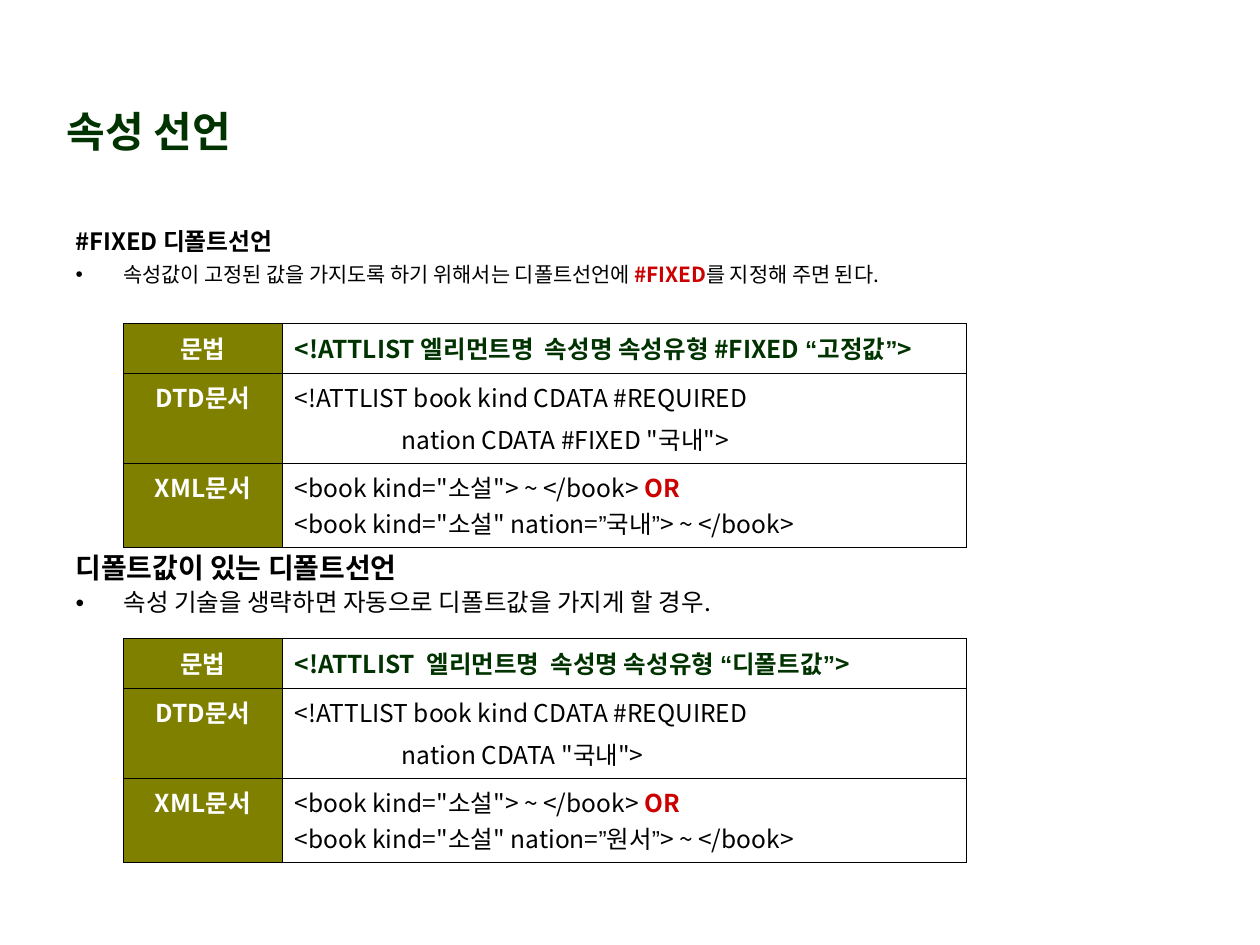
from dataclasses import dataclass
from itertools import groupby

from lxml.etree import SubElement
from pptx import Presentation
from pptx.dml.color import RGBColor
from pptx.enum.text import MSO_ANCHOR, MSO_AUTO_SIZE, PP_ALIGN
from pptx.oxml.ns import qn
from pptx.util import Inches, Pt


@dataclass(frozen=True)
class Theme:
    font: str = "Noto Sans CJK KR"
    quote_font: str = "Arial"
    text: str = "000000"
    heading: str = "003300"
    accent: str = "CC0000"
    label: str = "FFFFFF"
    label_fill: str = "808000"
    title_size: float = 24
    table_size: float = 14
    border: float = 0.45
    gap: float = 3.5
    heading_gap: float = 4


THEME = Theme()


def add_text(p, text, size, color=THEME.text, bold=False):
    """Add text to a paragraph, with curly quotes in their own font."""
    for is_quote, chars in groupby(text, key=lambda ch: ch in "“”"):
        r = p.add_run()
        r.text = "".join(chars)
        r.font.size = Pt(size)
        r.font.bold = bold
        r.font.color.rgb = RGBColor.from_string(color)
        r.font.name = THEME.quote_font if is_quote else THEME.font
        SubElement(r.font._element, qn("a:ea"), typeface=r.font.name)


def place(sp, left, top, width, height):
    sp.left, sp.top = Inches(left), Inches(top)
    sp.width, sp.height = Inches(width), Inches(height)
    tf = sp.text_frame
    tf.word_wrap = True
    tf.auto_size = MSO_AUTO_SIZE.NONE
    return tf


def fill_title(sp, box, text):
    tf = place(sp, *box)
    tf.vertical_anchor = MSO_ANCHOR.MIDDLE
    p = tf.paragraphs[0]
    p.alignment = PP_ALIGN.LEFT
    add_text(p, text, THEME.title_size, THEME.heading, True)


def set_bullet(p, char=None):
    pPr = p._p.get_or_add_pPr()
    pPr.set("marL", str(Inches(0.38)))
    pPr.set("indent", str(-Inches(0.38)))
    if char:
        color = SubElement(pPr, qn("a:buClr"))
        SubElement(color, qn("a:srgbClr"), val=THEME.text)
        SubElement(pPr, qn("a:buChar"), char=char)
    else:
        SubElement(pPr, qn("a:buNone"))


def fill_section(sp, box, heading, spans, sizes, spacing):
    """Heading line followed by one bulleted line."""
    tf = place(sp, *box)
    tf.vertical_anchor = MSO_ANCHOR.TOP
    head, item = tf.paragraphs[0], tf.add_paragraph()
    set_bullet(head)
    set_bullet(item, "•")
    for p, before in ((head, 0), (item, THEME.gap)):
        p.space_before = Pt(before)
        p.line_spacing = spacing
    add_text(head, heading, sizes[0], bold=True)
    for text, *style in spans:
        add_text(item, text, sizes[1], *style)


def set_borders(cell):
    tcPr = cell._tc.get_or_add_tcPr()
    for i, side in enumerate(("lnL", "lnR", "lnT", "lnB")):
        ln = tcPr.makeelement(qn(f"a:{side}"), {"w": str(Pt(THEME.border))})
        fill = SubElement(ln, qn("a:solidFill"))
        SubElement(fill, qn("a:srgbClr"), val=THEME.text)
        tcPr.insert(i, ln)


def fill_cell(cell, lines, gap=0, align=PP_ALIGN.LEFT, fill=None):
    cell.margin_left = cell.margin_right = Inches(0.1)
    cell.margin_top = cell.margin_bottom = Inches(0.05)
    if fill:
        cell.fill.solid()
        cell.fill.fore_color.rgb = RGBColor.from_string(fill)
    else:
        cell.fill.background()
    set_borders(cell)
    tf = cell.text_frame
    for i, spans in enumerate(lines):
        p = tf.add_paragraph() if i else tf.paragraphs[0]
        p.alignment = align
        p.space_before = Pt(gap if i else 0)
        for text, *style in spans:
            add_text(p, text, THEME.table_size, *style)


def add_syntax_table(s, left, top, syntax, nation_rule, nation):
    """Grammar, DTD and XML rows for one kind of default declaration."""
    widths, heights = (1.26, 5.43), (0.39, 0.71, 0.67)
    table = s.shapes.add_table(
        3, 2, Inches(left), Inches(top), Inches(sum(widths)), Inches(sum(heights))
    ).table
    table.first_row = table.horz_banding = False
    for column, width in zip(table.columns, widths):
        column.width = Inches(width)
    rows = (
        ("문법", [[(syntax, THEME.heading, True)]], 0),
        ("DTD문서", [[("<!ATTLIST book kind CDATA #REQUIRED",)],
                   [(f"\t        nation CDATA {nation_rule}>",)]], THEME.gap),
        ("XML문서", [[('<book kind="소설"> ~ </book> ',), ("OR", THEME.accent, True)],
                   [(f'<book kind="소설" nation=”{nation}”> ~ </book>',)]], 0),
    )
    for i, (label, lines, gap) in enumerate(rows):
        table.rows[i].height = Inches(heights[i])
        fill_cell(table.cell(i, 0), [[(label, THEME.label, True)]],
                  align=PP_ALIGN.CENTER, fill=THEME.label_fill)
        fill_cell(table.cell(i, 1), lines, gap)


def main():
    prs = Presentation()
    prs.slide_width, prs.slide_height = Inches(10), Inches(7.5)
    s = prs.slides.add_slide(prs.slide_layouts[3])
    for sp in list(s.placeholders)[3:]:
        sp._element.getparent().remove(sp._element)
    title, fixed, default = s.placeholders

    fill_title(title, (0.43, 0.76, 4.41, 0.55), "속성 선언")

    # Fixed values
    fill_section(
        fixed, (0.5, 1.75, 8.99, 0.58), "#FIXED 디폴트선언",
        [("속성값이 고정된 값을 가지도록 하기 위해서는 디폴트선언에 ",),
         ("#FIXED", THEME.accent, True), ("를 지정해 주면 된다.",)],
        sizes=(13.6, 11.9), spacing=1.0)
    add_syntax_table(s, 0.98, 2.57, "<!ATTLIST 엘리먼트명  속성명 속성유형 #FIXED “고정값”>",
                     '#FIXED "국내"', "국내")

    # Default values
    fill_section(
        default, (0.5, 4.35, 8.99, 0.66), "디폴트값이 있는 디폴트선언",
        [("속성 기술을 생략하면 자동으로 디폴트값을 가지게 할 경우.",)],
        sizes=(16, 14), spacing=0.9)
    add_syntax_table(s, 0.98, 5.07, "<!ATTLIST  엘리먼트명  속성명 속성유형 “디폴트값”>",
                     '"국내"', "원서")

    prs.save("out.pptx")


if __name__ == "__main__":
    main()
